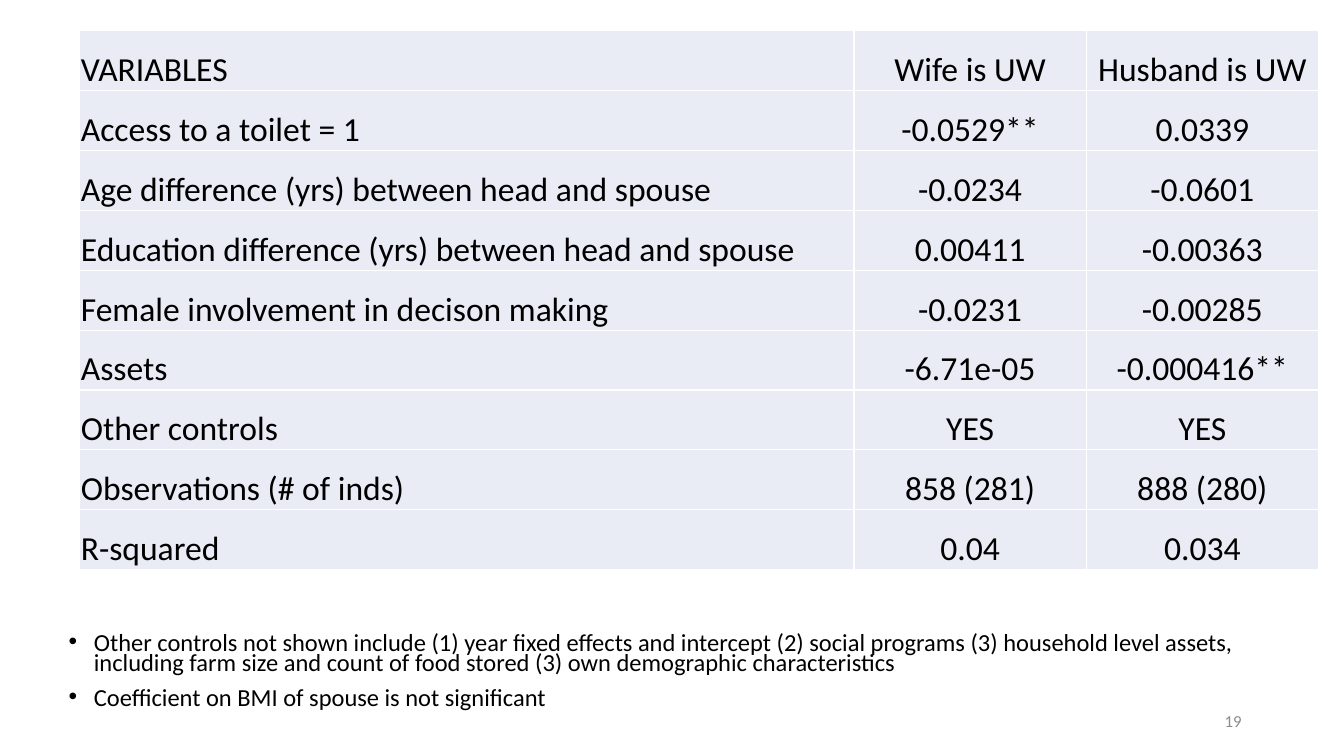
import pptx
import pptx.dml.color
import pptx.enum.text
import pptx.oxml
import pptx.oxml.ns
import pptx.util

Pt = pptx.util.Pt
ALIGN = pptx.enum.text.PP_ALIGN
ANCHOR = pptx.enum.text.MSO_ANCHOR

ROWS = [
    ("VARIABLES", "Wife is UW", "Husband is UW"),
    ("Access to a toilet = 1", "-0.0529**", "0.0339"),
    ("Age difference (yrs) between head and spouse", "-0.0234", "-0.0601"),
    ("Education difference (yrs) between head and spouse", "0.00411", "-0.00363"),
    ("Female involvement in decison making", "-0.0231", "-0.00285"),
    ("Assets", "-6.71e-05", "-0.000416**"),
    ("Other controls", "YES", "YES"),
    ("Observations (# of inds)", "858 (281)", "888 (280)"),
    ("R-squared", "0.04", "0.034"),
]
NOTES = [
    "Other controls not shown include (1) year fixed effects and intercept "
    "(2) social programs (3) household level assets, including farm size and "
    "count of food stored (3) own demographic characteristics",
    "Coefficient on BMI of spouse is not significant",
]


def rgb(value):
    return pptx.dml.color.RGBColor.from_string(value)


def apply(obj, values):
    for name, value in values.items():
        setattr(obj, name, value)


def element(xml):
    return pptx.oxml.parse_xml(xml.replace(">", f' {pptx.oxml.ns.nsdecls("a")}>', 1))


class SlideBuilder:
    font = "Calibri"
    ink = "000000"
    cell_fill = "E9EBF5"
    border = "FFFFFF"

    def __init__(self, prs):
        self.s = prs.slides.add_slide(prs.slide_layouts[6])

    def add_text(self, p, text, size, color=None, **paragraph_format):
        apply(p, paragraph_format)
        r = p.add_run()
        r.text = text
        apply(r.font, {"name": self.font, "size": Pt(size)})
        r.font.color.rgb = rgb(color or self.ink)

    def box(self, left, top, width, height, anchor=ANCHOR.TOP):
        sp = self.s.shapes.add_textbox(Pt(left), Pt(top), Pt(width), Pt(height))
        tf = sp.text_frame
        apply(tf, {"word_wrap": True, "vertical_anchor": anchor})
        return tf

    def bullets(self, lines, size, *place):
        tf = self.box(*place)
        for i, line in enumerate(lines):
            p = tf.add_paragraph() if i else tf.paragraphs[0]
            self.add_text(p, line, size, line_spacing=0.7, space_before=Pt(10))
            pPr = p._p.get_or_add_pPr()
            pPr.set("marL", str(Pt(18)))
            pPr.set("indent", str(Pt(-18)))
            pPr.append(element('<a:buFont typeface="Arial"></a:buFont>'))
            pPr.append(element('<a:buChar char="•"></a:buChar>'))

    def table(self, rows, size, left, top, widths, row_height):
        table = self.s.shapes.add_table(
            len(rows), len(widths), Pt(left), Pt(top),
            Pt(sum(widths)), Pt(row_height * len(rows))).table
        apply(table, {"first_row": False, "horz_banding": False})
        for column, width in zip(table.columns, widths):
            column.width = Pt(width)
        for i, row in enumerate(rows):
            table.rows[i].height = Pt(row_height)
            for j, text in enumerate(row):
                self.cell(table.cell(i, j), text, size,
                          ALIGN.CENTER if j else ALIGN.LEFT)

    def cell(self, cell, text, size, alignment):
        apply(cell, {"vertical_anchor": ANCHOR.BOTTOM, "margin_left": Pt(0.75),
                     "margin_right": Pt(0.75), "margin_top": Pt(0.75),
                     "margin_bottom": 0})
        tcPr = cell._tc.get_or_add_tcPr()
        for side in "LRTB":
            tcPr.append(element(
                f'<a:ln{side} w="{Pt(1)}"><a:solidFill>'
                f'<a:srgbClr val="{self.border}"/></a:solidFill></a:ln{side}>'))
        cell.fill.solid()
        cell.fill.fore_color.rgb = rgb(self.cell_fill)
        self.add_text(cell.text_frame.paragraphs[0], text, size, alignment=alignment)

    def page_number(self, text, *place):
        tf = self.box(*place, anchor=ANCHOR.MIDDLE)
        self.add_text(tf.paragraphs[0], text, 12, "8C8C8C", alignment=ALIGN.RIGHT)


def main():
    prs = pptx.Presentation()
    apply(prs, {"slide_width": Pt(960), "slide_height": Pt(540)})
    slide = SlideBuilder(prs)

    # Notes below the table
    slide.bullets(NOTES, 17.5, 42, 450, 873, 66)

    # Regression results
    slide.table(ROWS, 24, 57, 21.9, [553, 165.9, 165.9], 42.8)

    # Page number
    slide.page_number("19", 678, 500.5, 216, 28.8)

    prs.save("out.pptx")


if __name__ == "__main__":
    main()
